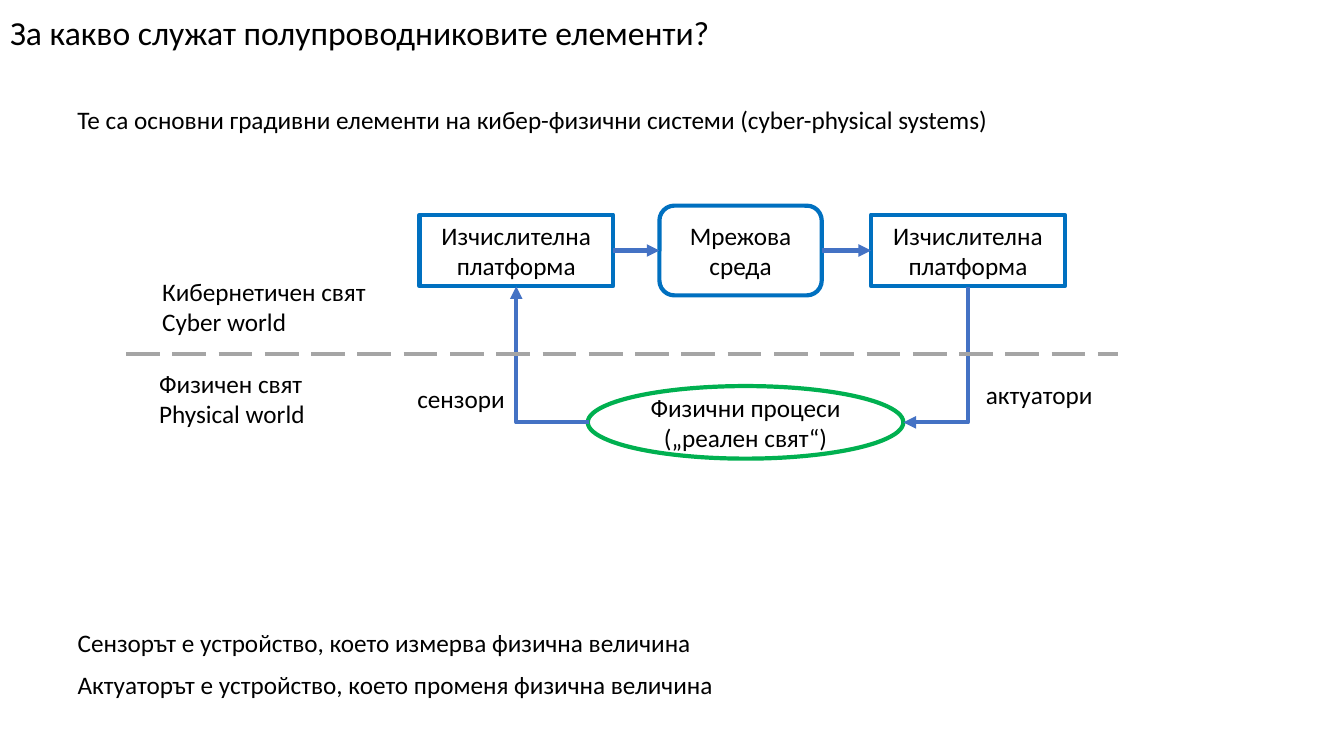
"""Build a slide on semiconductor elements in cyber-physical systems."""
from lxml import etree
from pptx import Presentation
from pptx.dml.color import RGBColor
from pptx.enum import dml, shapes, text
from pptx.oxml.ns import qn
from pptx.util import Inches, Pt

BLACK = RGBColor(0x00, 0x00, 0x00)
BOX_BLUE = RGBColor(0x00, 0x70, 0xC0)
ARROW_BLUE = RGBColor(0x44, 0x72, 0xC4)
PROCESS_GREEN = RGBColor(0x00, 0xB0, 0x50)
DIVIDER_GRAY = RGBColor(0xA5, 0xA5, 0xA5)


def write_text(shape, lines, alignment=text.PP_ALIGN.LEFT, size=18, line_spacing=1.0, gap=0):
    frame = shape.text_frame
    frame.text = "\n".join(lines)
    frame.auto_size = text.MSO_AUTO_SIZE.NONE
    for index, paragraph in enumerate(frame.paragraphs):
        paragraph.alignment = alignment
        paragraph.line_spacing = line_spacing
        paragraph.space_before = Pt(gap if index else 0)
        paragraph.font.name = "Calibri"
        paragraph.font.size = Pt(size)
        paragraph.font.color.rgb = BLACK


def style_line(connector, color, arrow=True):
    connector.line.color.rgb = color
    connector.line.width = Pt(3)
    if arrow:
        etree.SubElement(connector.line._get_or_add_ln(), qn("a:tailEnd"), type="triangle")
    etree.SubElement(connector._element.spPr, qn("a:effectLst"))


presentation = Presentation()
presentation.slide_width = Inches(13.33)
presentation.slide_height = Inches(7.5)
slide = presentation.slides.add_slide(presentation.slide_layouts[1])

title = slide.shapes.title
title.left, title.top, title.width, title.height = Inches(0), Inches(0), Inches(12), Inches(0.69)
write_text(title, ["За какво служат полупроводниковите елементи?"], size=24, line_spacing=0.9)
title.text_frame.vertical_anchor = text.MSO_ANCHOR.MIDDLE

definitions = slide.placeholders[1]
definitions.left, definitions.top = Inches(0.67), Inches(6.21)
definitions.width, definitions.height = Inches(12), Inches(1)
write_text(definitions, ["Сензорът е устройство, което измерва физична величина",
                         "Актуаторът е устройство, което променя физична величина"],
           line_spacing=0.9, gap=10)
for paragraph in definitions.text_frame.paragraphs:
    properties = paragraph._p.get_or_add_pPr()
    properties.set("marL", "0")
    properties.set("indent", "0")
    bullet = etree.Element(qn("a:buNone"))
    properties.find(qn("a:defRPr")).addprevious(bullet)

block_data = [
    ("source platform", shapes.MSO_SHAPE.RECTANGLE, 4.16, 2.13, 1.92, 0.71, BOX_BLUE,
     ["Изчислителна платформа"]),
    ("network", shapes.MSO_SHAPE.ROUNDED_RECTANGLE, 6.54, 2.04, 1.61, 0.89, BOX_BLUE,
     ["Мрежова среда"]),
    ("target platform", shapes.MSO_SHAPE.RECTANGLE, 8.64, 2.13, 1.92, 0.71, BOX_BLUE,
     ["Изчислителна платформа"]),
    ("processes", shapes.MSO_SHAPE.OVAL, 5.83, 3.83, 3.13, 0.72, PROCESS_GREEN,
     ["Физични процеси", "(„реален свят“)"]),
]
blocks = {}
for name, kind, left, top, width, height, color, lines in block_data:
    block = slide.shapes.add_shape(kind, Inches(left), Inches(top), Inches(width), Inches(height))
    block.shadow.inherit = False
    block.fill.background()
    block.line.color.rgb = color
    block.line.width = Pt(3)
    write_text(block, lines, text.PP_ALIGN.CENTER)
    block.text_frame.vertical_anchor = text.MSO_ANCHOR.MIDDLE
    blocks[name] = block

for source, target in [("source platform", "network"), ("network", "target platform")]:
    arrow = slide.shapes.add_connector(shapes.MSO_CONNECTOR.STRAIGHT, 0, 0, 0, 0)
    arrow.begin_connect(blocks[source], 3)
    arrow.end_connect(blocks[target], 1)
    style_line(arrow, ARROW_BLUE)

for left, top, width, height, degrees in [(8.61, 3.2, 1.34, 0.64, 90), (5.12, 2.84, 0.72, 1.35, 180)]:
    elbow = slide.shapes.add_connector(shapes.MSO_CONNECTOR.ELBOW, Inches(left), Inches(top),
                                       Inches(left + width), Inches(top + height))
    elbow_properties = elbow._element.spPr
    elbow_properties.find(qn("a:prstGeom")).set("prst", "bentConnector2")
    elbow_properties.find(qn("a:xfrm")).set("rot", str(degrees * 60000))
    style_line(elbow, ARROW_BLUE)

divider = slide.shapes.add_connector(shapes.MSO_CONNECTOR.STRAIGHT, Inches(1.25), Inches(3.51),
                                     Inches(11.09), Inches(3.51))
style_line(divider, DIVIDER_GRAY, arrow=False)
divider.line.dash_style = dml.MSO_LINE.LONG_DASH

labels = [
    (4.04, 3.75, 1.08, 0.4, 1.0, False, ["сензори"]),
    (9.68, 3.71, 1.27, 0.4, 1.0, False, ["актуатори"]),
    (1.48, 3.6, 1.86, 0.71, 1.0, True, ["Физичен свят", "Physical world"]),
    (1.51, 2.69, 2.3, 0.71, 1.0, True, ["Кибернетичен свят", "Cyber world"]),
    (0.67, 1.02, 12, 1, 0.9, True,
     ["Те са основни градивни елементи на кибер-физични системи (cyber-physical systems)"]),
]
for left, top, width, height, line_spacing, wrap, lines in labels:
    label = slide.shapes.add_textbox(Inches(left), Inches(top), Inches(width), Inches(height))
    write_text(label, lines, line_spacing=line_spacing)
    label.text_frame.word_wrap = wrap

presentation.save("out.pptx")
